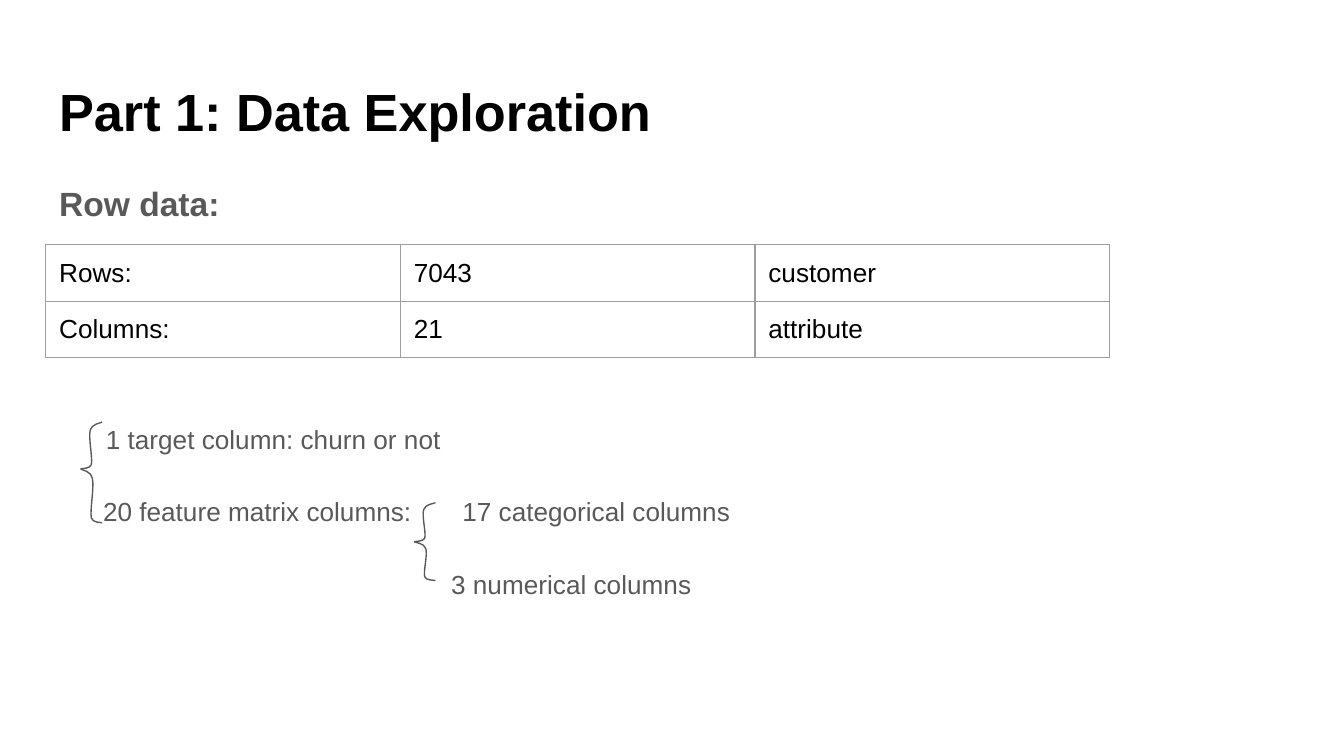
"""Builds the data exploration slide with its table and braces."""
from lxml import etree
from pptx import Presentation
from pptx.dml.color import RGBColor
from pptx.enum.text import MSO_ANCHOR, MSO_AUTO_SIZE, PP_ALIGN
from pptx.oxml.ns import qn
from pptx.util import Pt

TOP = MSO_ANCHOR.TOP
NO_FIT = MSO_AUTO_SIZE.NONE
LEFT = PP_ALIGN.LEFT
BLACK = RGBColor(0x00, 0x00, 0x00)
GREY = RGBColor(0x59, 0x59, 0x59)
BORDER = RGBColor(0x9E, 0x9E, 0x9E)
FONT = "Arial"
INSET = 7.2
HALF_BRACE = [(1, 0), (0.92, 0.03), (0.54, 0.03), (0.45, 0.18),
              (0.36, 0.35), (0.57, 0.77), (0.5, 0.91),
              (0.43, 1), (0.08, 0.99), (0, 1)]


class SlideBuilder:
    def __init__(self, prs):
        self.s = prs.slides.add_slide(prs.slide_layouts[1])

    def format(self, p, size, color, bold=False):
        p.alignment = LEFT
        for r in p.runs:
            r.font.name = FONT
            r.font.size = Pt(size)
            r.font.bold = bold
            r.font.color.rgb = color

    def placeholder(self, idx, left, top, width, height):
        sp = self.s.placeholders[idx]
        sp.left, sp.top, sp.width, sp.height = map(Pt, (left, top, width, height))
        tf = sp.text_frame
        tf.word_wrap = True
        tf.auto_size = NO_FIT
        tf.vertical_anchor = TOP
        tf.margin_left = tf.margin_right = Pt(INSET)
        tf.margin_top = tf.margin_bottom = Pt(INSET)
        return tf

    def title(self, text, *box):
        tf = self.placeholder(0, *box)
        tf.text = text
        self.format(tf.paragraphs[0], 28, BLACK, True)

    def body(self, lines, tab, *box):
        tf = self.placeholder(1, *box)
        for i, (text, size, bold, indent, before) in enumerate(lines):
            p = tf.add_paragraph() if i else tf.paragraphs[0]
            p.text = text
            p.line_spacing = 1.15
            p.space_before = Pt(before)
            self.format(p, size, GREY, bold)
            pPr = p._p.get_or_add_pPr()
            pPr.set("marL", "0")
            pPr.set("indent", str(Pt(indent)))
            etree.SubElement(pPr, qn("a:buNone"))
            tabs = etree.SubElement(pPr, qn("a:tabLst"))
            etree.SubElement(tabs, qn("a:tab"), pos=str(Pt(tab)), algn="l")

    def table(self, rows, left, top, col_width, row_height):
        n, m = len(rows), len(rows[0])
        tbl = self.s.shapes.add_table(n, m, Pt(left), Pt(top), Pt(col_width * m),
                                      Pt(row_height * n)).table
        tbl.first_row = tbl.horz_banding = False
        for row, texts in zip(tbl.rows, rows):
            for cell, text in zip(row.cells, texts):
                cell.text = text
                cell.margin_left = cell.margin_right = Pt(INSET)
                cell.margin_top = cell.margin_bottom = Pt(INSET)
                self.format(cell.text_frame.paragraphs[0], 14, BLACK)
                self.borders(cell)
                cell.fill.background()

    def borders(self, cell):
        tcPr = cell._tc.get_or_add_tcPr()
        for side in ("a:lnL", "a:lnR", "a:lnT", "a:lnB"):
            ln = etree.SubElement(tcPr, qn(side), w=str(Pt(0.75)))
            fill = etree.SubElement(ln, qn("a:solidFill"))
            etree.SubElement(fill, qn("a:srgbClr"), val=str(BORDER))

    def brace(self, left, top, middle, bottom, width=11.5):
        self.half_brace(left, top, width, middle - top, False)
        self.half_brace(left, middle, width, bottom - middle, True)

    def half_brace(self, left, top, width, height, mirrored):
        pts = [(Pt(left + width * (1 - x if mirrored else x)), Pt(top + height * y))
               for x, y in HALF_BRACE]
        fb = self.s.shapes.build_freeform(*pts[0])
        fb.add_line_segments(pts[1:], close=False)
        sp = fb.convert_to_shape()
        self.curve(sp)
        sp.shadow.inherit = False
        sp.fill.background()
        sp.line.color.rgb = GREY
        sp.line.width = Pt(0.75)

    def curve(self, sp):
        outline = next(sp._element.iter(qn("a:path")))
        segments = outline.findall(qn("a:lnTo"))
        for i in range(0, len(segments), 3):
            bez = etree.SubElement(outline, qn("a:cubicBezTo"))
            for segment in segments[i:i + 3]:
                bez.append(segment[0])
                outline.remove(segment)


def main():
    prs = Presentation()
    prs.slide_width, prs.slide_height = Pt(720), Pt(405)
    b = SlideBuilder(prs)
    b.title("Part 1: Data Exploration", 24.5, 35.3, 671, 45.4)
    b.body([("Row data:", 18, True, 0, 0),
            ("1 target column: churn or not", 14, False, 25, 104.4),
            ("20 feature matrix columns:\t17 categorical columns", 14, False, 23.5, 19.6),
            ("3 numerical columns", 14, False, 210, 19.6)],
           192.2, 24.5, 87.8, 671, 269.3)
    b.table([("Rows:", "7043", "customer"), ("Columns:", "21", "attribute")],
            24.5, 131.2, 190, 30.2)
    b.brace(43.2, 226.1, 251.2, 280.1)
    b.brace(221.8, 269.3, 290.2, 311)
    prs.save("out.pptx")


if __name__ == "__main__":
    main()
